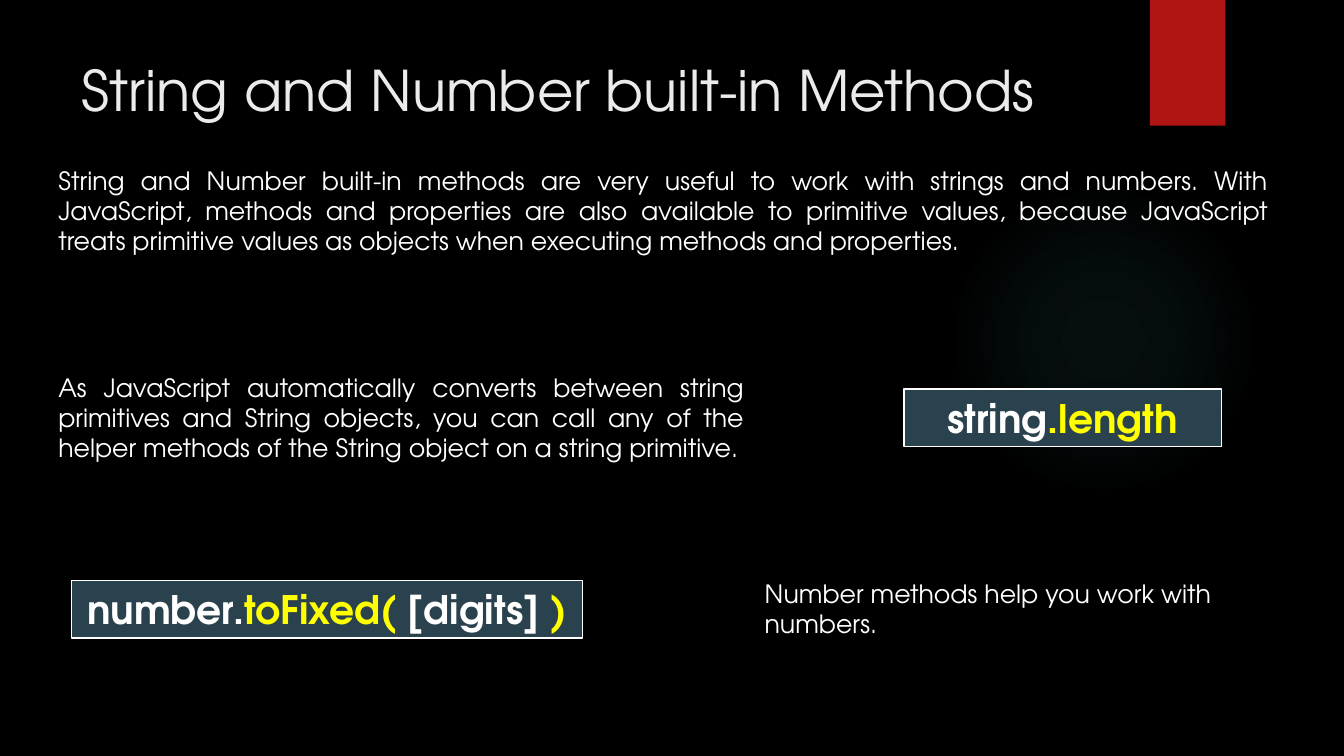
from lxml import etree
from pptx import Presentation
from pptx.dml.color import RGBColor
from pptx.enum import shapes, text
from pptx.oxml import ns
from pptx.util import Cm, Pt

BLACK = RGBColor(0x00, 0x00, 0x00)
WHITE = RGBColor(0xFF, 0xFF, 0xFF)
OFF_WHITE = RGBColor(0xEB, 0xEB, 0xEB)
RED = RGBColor(0xB0, 0x15, 0x13)
SLATE = RGBColor(0x2A, 0x42, 0x4D)
YELLOW = RGBColor(0xFF, 0xFF, 0x00)
TEAL = RGBColor(0x50, 0xB9, 0xC1)
FONT = "TeX Gyre Adventor"

deck = Presentation()
deck.slide_width, deck.slide_height = Cm(33.87), Cm(19.05)
slide = deck.slides.add_slide(deck.slide_layouts[6])
slide.background.fill.solid()
slide.background.fill.fore_color.rgb = BLACK


def add_block(kind, box, fill=None, line=None):
    block = slide.shapes.add_shape(kind, *map(Cm, box))
    block.shadow.inherit = False
    if fill is None:
        block.fill.background()
    else:
        block.fill.solid()
        block.fill.fore_color.rgb = fill
    if line is None:
        block.line.fill.background()
    else:
        block.line.color.rgb = line
        block.line.width = Pt(1)
    return block


def write(holder, parts, size=18, bold=False, align=text.PP_ALIGN.LEFT):
    frame = holder.text_frame
    frame.word_wrap = True
    frame.vertical_anchor = text.MSO_ANCHOR.TOP
    paragraph = frame.paragraphs[0]
    paragraph.alignment = align
    for words, color in parts:
        run = paragraph.add_run()
        run.text = words
        run.font.name = FONT
        run.font.size = Pt(size)
        run.font.bold = bold
        run.font.color.rgb = color


glow = add_block(shapes.MSO_SHAPE.OVAL, (23.9, 4.65, 7.82, 7.82))
no_fill = glow._element.spPr.find(ns.qn("a:noFill"))
gradient = etree.Element(ns.qn("a:gradFill"), rotWithShape="1")
stops = etree.SubElement(gradient, ns.qn("a:gsLst"))
for position, opacity in ((0, 7), (36, 6), (69, 0)):
    stop = etree.SubElement(stops, ns.qn("a:gs"), pos=str(position * 1000))
    tint = etree.SubElement(stop, ns.qn("a:srgbClr"), val=str(TEAL))
    etree.SubElement(tint, ns.qn("a:alpha"), val=str(opacity * 1000))
circle = etree.SubElement(gradient, ns.qn("a:path"), path="circle")
etree.SubElement(circle, ns.qn("a:fillToRect"), l="50000", t="50000", r="50000", b="50000")
no_fill.getparent().replace(no_fill, gradient)

add_block(shapes.MSO_SHAPE.RECTANGLE, (28.98, 0, 1.9, 3.17), RED)

title = slide.shapes.add_textbox(Cm(1.8), Cm(1.27), Cm(27.33), Cm(2.24))
write(title, [("String and Number built-in Methods", OFF_WHITE)], size=40)

explanations = [
    ((1.22, 4.04, 30.99, 2.57), text.PP_ALIGN.JUSTIFY,
     "String and Number built-in methods are very useful to work with strings and numbers. "
     "With JavaScript, methods and properties are also available to primitive values, because "
     "JavaScript treats primitive values as objects when executing methods and properties."),
    ((1.22, 9.25, 17.78, 2.57), text.PP_ALIGN.JUSTIFY,
     "As JavaScript automatically converts between string primitives and String objects, you can "
     "call any of the helper methods of the String object on a string primitive."),
    ((19.02, 14.45, 13.46, 1.8), text.PP_ALIGN.LEFT,
     "Number methods help you work with numbers."),
]
for box, align, words in explanations:
    write(slide.shapes.add_textbox(*map(Cm, box)), [(words, WHITE)], align=align)

syntaxes = [
    ((22.78, 9.8, 8, 1.45), [("string", WHITE), (".length", YELLOW)]),
    ((1.8, 14.63, 12.88, 1.45),
     [("number.", WHITE), ("toFixed(", YELLOW), (" [digits] ", WHITE), (")", YELLOW)]),
]
for box, parts in syntaxes:
    syntax = add_block(shapes.MSO_SHAPE.RECTANGLE, box, SLATE, WHITE)
    write(syntax, parts, size=28, bold=True, align=text.PP_ALIGN.CENTER)

deck.save("out.pptx")
